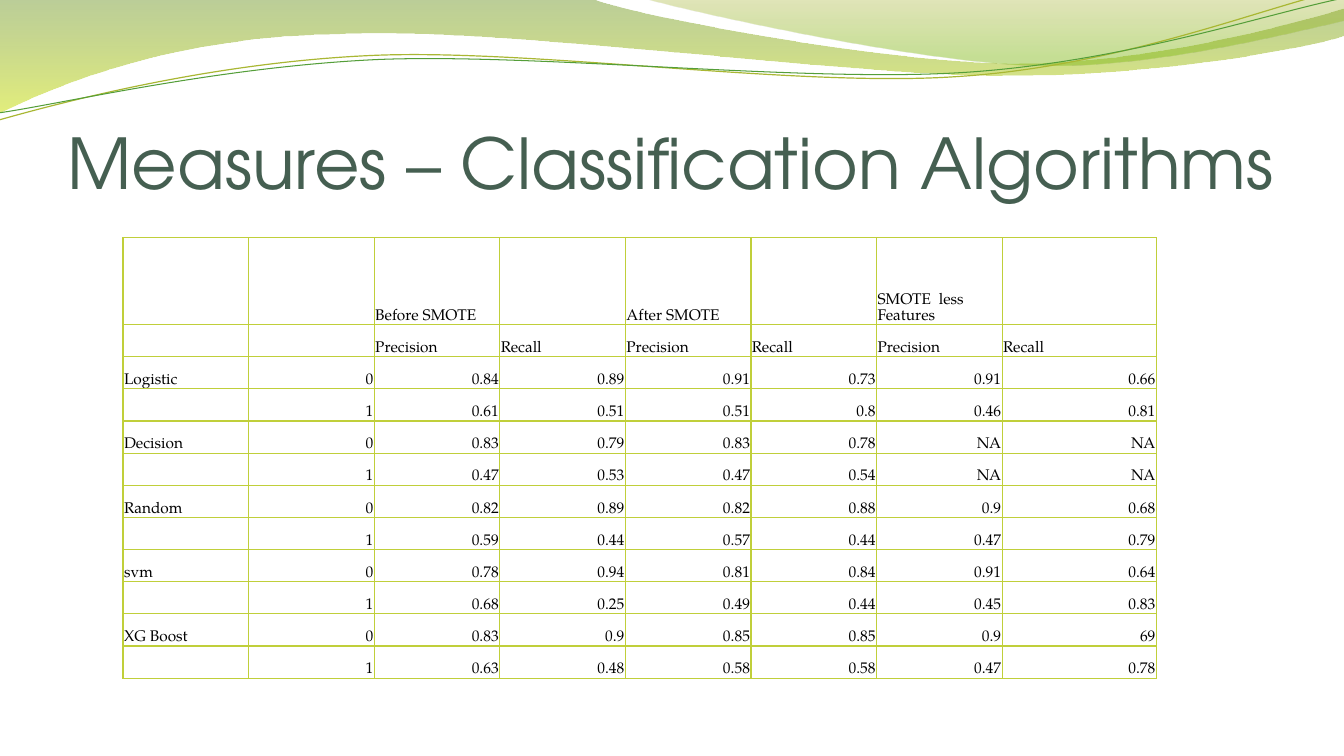
"""Build a slide comparing classification measures before and after SMOTE."""
from dataclasses import dataclass

from lxml import etree
from pptx import Presentation
from pptx import util as u
from pptx.dml.color import RGBColor
from pptx.enum import text
from pptx.oxml.ns import qn

TITLE = "Measures – Classification Algorithms"
STAGES = ["Before SMOTE", "After SMOTE", "SMOTE  less Features"]
MEASURES = ["Precision", "Recall"]
SCORES = {
    "Logistic": ("0.84 0.89 0.91 0.73 0.91 0.66", "0.61 0.51 0.51 0.8 0.46 0.81"),
    "Decision": ("0.83 0.79 0.83 0.78 NA NA", "0.47 0.53 0.47 0.54 NA NA"),
    "Random": ("0.82 0.89 0.82 0.88 0.9 0.68", "0.59 0.44 0.57 0.44 0.47 0.79"),
    "svm": ("0.78 0.94 0.81 0.84 0.91 0.64", "0.68 0.25 0.49 0.44 0.45 0.83"),
    "XG Boost": ("0.83 0.9 0.85 0.85 0.9 69", "0.63 0.48 0.58 0.58 0.47 0.78"),
}

BANDS = [
    ([[(0, 0)], [(587, -1)], [(634, 17), (884, 63), (1011, 63)],
      [(1137, 63), (1277, 26), (1333, 9)], [(1334, 36)],
      [(1311, 44), (1159, 76), (994, 75)], [(829, 75), (509, 28), (343, 34)],
      [(172, 36), (61, 83), (-2, 113)]],
     [(0, "69921C", 45), (1, "CCE10F", 55)]),
    ([[(638, -1)], [(679, 11), (909, 62), (1025, 65)],
      [(1140, 69), (1282, 32), (1333, 21)], [(1333, 0)]],
     [(0, "9BAA1A", 30), (0.8, "81BA16", 45)]),
]
STRANDS = [
    ([[(-1, 119)], [(63, 101), (210, 62), (369, 55)], [(527, 48), (789, 87), (949, 76)],
      [(1110, 66), (1251, 8), (1330, -10)]], "A9B733", 0.85),
    ([[(-1, 112)], [(62, 103), (218, 66), (377, 59)], [(537, 53), (796, 82), (955, 72)],
      [(1114, 62), (1255, 14), (1333, -2)]], "549E39", 0.75),
]

PX = 9144
SLIDE = (1333, 750)
TITLE_BOX = (67, 77, 1200, 125)
TABLE_BOX = (122, 236, 1025, 437)
LAST_COLUMN, FIRST_ROW = 153, 86


@dataclass(frozen=True)
class Theme:
    """Colours, fonts and type sizes."""
    title_font: str = "TeX Gyre Adventor"
    body_font: str = "TeX Gyre Pagella"
    title_size: int = 50
    body_size: int = 11
    title: str = "455F51"
    body: str = "000000"
    grid: str = "C0CF3A"
    grid_width: int = 1


THEME = Theme()


def emu(lengths):
    """Turn px lengths into EMU."""
    return [round(length * PX) for length in lengths]


def style(paragraph, font, size, color):
    """Format every run of a paragraph."""
    for run in paragraph.runs:
        run.font.name, run.font.size = font, u.Pt(size)
        run.font.color.rgb = RGBColor.from_string(color)


def add_outline(slide, steps, close):
    """Add an outline whose three-point steps are cubic curves."""
    start, *rest = [emu(point) for step in steps for point in step]
    builder = slide.shapes.build_freeform(*start, scale=1.0)
    builder.add_line_segments(rest, close=close)
    outline = builder.convert_to_shape()
    outline.shadow.inherit = False
    segments = iter(list(outline._element.iter(qn("a:lnTo"))))
    for step in steps[1:]:
        first, *others = [next(segments) for _ in step]
        if others:
            first.tag = qn("a:cubicBezTo")
        for other in others:
            first.append(other[0])
            other.getparent().remove(other)
    return outline


def add_waves(slide):
    """Draw the translucent bands and the thin strands above the title."""
    for steps, stops in BANDS:
        band = add_outline(slide, steps, True)
        band.line.fill.background()
        band.fill.gradient()
        band.fill.gradient_angle = 270
        for stop, (position, color, _) in zip(band.fill.gradient_stops, stops):
            stop.position = position
            stop.color.rgb = RGBColor.from_string(color)
        tints = band._element.spPr.iter(qn("a:srgbClr"))
        for tint, (_, _, opacity) in zip(tints, stops):
            etree.SubElement(tint, qn("a:alpha")).set("val", str(opacity * 1000))
    for steps, color, width in STRANDS:
        strand = add_outline(slide, steps, False)
        strand.fill.background()
        strand.line.color.rgb = RGBColor.from_string(color)
        strand.line.width = u.Pt(width)


def add_title(slide):
    """Place and format the title."""
    title = slide.shapes.title
    title.left, title.top, title.width, title.height = emu(TITLE_BOX)
    frame = title.text_frame
    frame.text = TITLE
    frame.word_wrap = True
    frame.auto_size = text.MSO_AUTO_SIZE.NONE
    frame.vertical_anchor = text.MSO_ANCHOR.BOTTOM
    frame.margin_left, frame.margin_top, frame.margin_right, frame.margin_bottom = emu((0, 5, 0, 0))
    frame.paragraphs[0].alignment = text.PP_ALIGN.LEFT
    style(frame.paragraphs[0], THEME.title_font, THEME.title_size, THEME.title)


def fill_cell(cell, words, align):
    """Write one cell and rule its four sides."""
    cell.text = words
    cell.margin_left, cell.margin_top, cell.margin_right, cell.margin_bottom = emu((1, 1, 1, 0))
    cell.vertical_anchor = text.MSO_ANCHOR.BOTTOM
    paragraph = cell.text_frame.paragraphs[0]
    paragraph.alignment = align
    style(paragraph, THEME.body_font, THEME.body_size, THEME.body)
    if not words:
        blank = etree.SubElement(paragraph._p, qn("a:endParaRPr"))
        blank.set("sz", str(THEME.body_size * 100))
    properties = cell._tc.get_or_add_tcPr()
    for side in "LRTB":
        rule = etree.SubElement(properties, qn(f"a:ln{side}"), w=str(u.Pt(THEME.grid_width)))
        paint = etree.SubElement(rule, qn("a:solidFill"))
        etree.SubElement(paint, qn("a:srgbClr"), val=THEME.grid)
    cell.fill.background()


def add_scores(slide):
    """Add the table of scores by algorithm and class."""
    rows = [["", ""] + [words for stage in STAGES for words in (stage, "")],
            ["", ""] + MEASURES * len(STAGES)]
    for algorithm, classes in SCORES.items():
        for label, scores in enumerate(classes):
            rows.append(["" if label else algorithm, str(label)] + scores.split())
    height, width = len(rows), len(rows[0])
    table = slide.shapes.add_table(height, width, *emu(TABLE_BOX)).table
    table.first_row = table.horz_banding = False
    column_width = (TABLE_BOX[2] - LAST_COLUMN) / (width - 1)
    row_height = (TABLE_BOX[3] - FIRST_ROW) / (height - 1)
    for column, size in zip(table.columns, emu([column_width] * (width - 1) + [LAST_COLUMN])):
        column.width = size
    for row, size in zip(table.rows, emu([FIRST_ROW] + [row_height] * (height - 1))):
        row.height = size
    for r, row in enumerate(rows):
        for c, words in enumerate(row):
            numeric = r > 1 and c > 0
            fill_cell(table.cell(r, c), words,
                      text.PP_ALIGN.RIGHT if numeric else text.PP_ALIGN.LEFT)


def main():
    """Build and save the slide."""
    deck = Presentation()
    deck.slide_width, deck.slide_height = emu(SLIDE)
    slide = deck.slides.add_slide(deck.slide_layouts[5])
    add_waves(slide)
    add_title(slide)
    add_scores(slide)
    deck.save("out.pptx")


if __name__ == "__main__":
    main()
